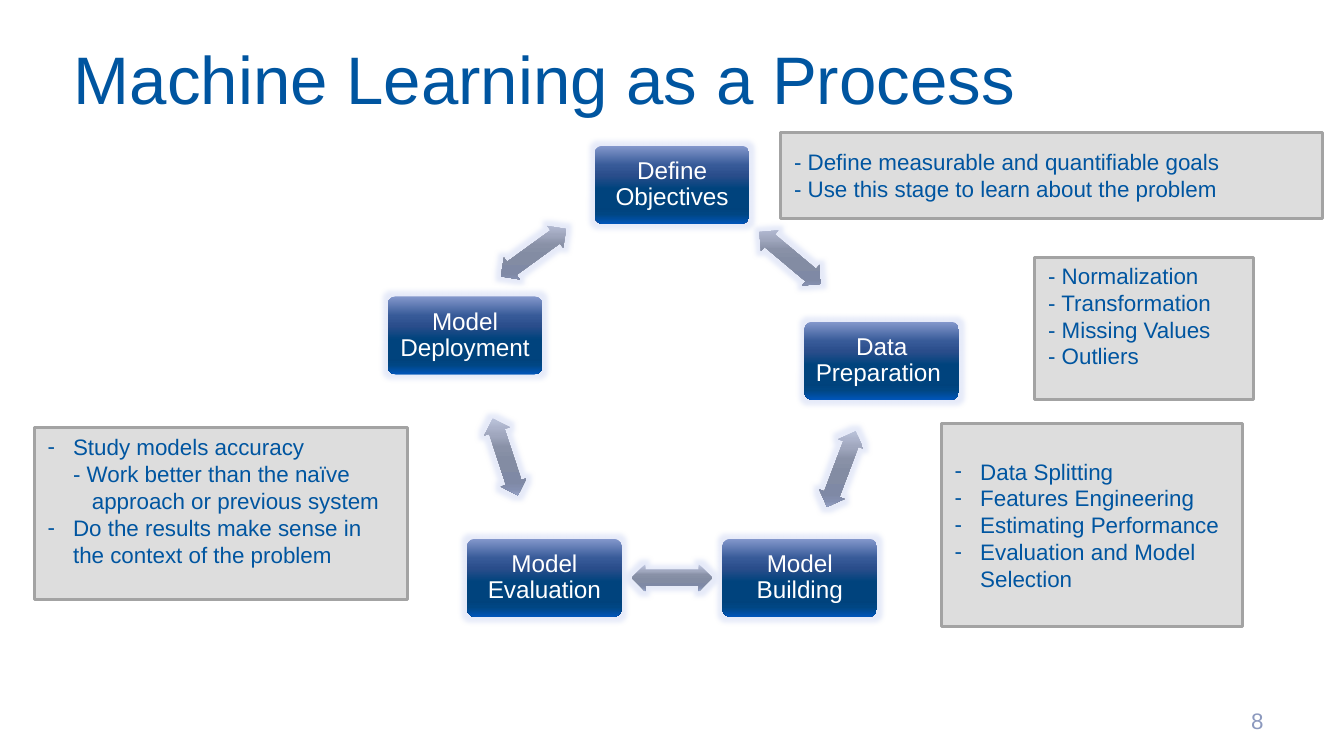
import math
from dataclasses import dataclass

import pptx
import pptx.dml.color
import pptx.enum.shapes
import pptx.enum.text
import pptx.oxml
import pptx.oxml.ns
import pptx.util

SHAPE = pptx.enum.shapes.MSO_SHAPE
ALIGN = pptx.enum.text.PP_ALIGN
ANCHOR = pptx.enum.text.MSO_ANCHOR
Inches = pptx.util.Inches
Pt = pptx.util.Pt


@dataclass(frozen=True)
class Theme:
    font: str = "Arial"
    ink: str = "0055A0"
    white: str = "FFFFFF"
    number: str = "8C99BE"
    note_fill: str = "DDDDDD"
    note_line: str = "A3A3A3"
    glow: str = "C1CCF0"
    stops: tuple = (0, 25, 38, 55, 80, 88, 100)
    step_colors: tuple = ("8498CC", "375A98", "2A4D8B", "00437D", "00427C", "004683", "0055B9")
    arrow_colors: tuple = ("C1C9E1", "9FA6BD", "8991A7", "838CA3", "7F89A5", "848FB0", "A2B0D6")
    title_size: int = 36
    step_size: int = 13
    body_size: int = 12


THEME = Theme()
COLUMNS = 100
TITLE = ("Machine Learning as a Process", (5, 1.9, 90, 7.7))
PAGE_NUMBER = ("8", (89.5, 52.15, 5.5, 3))

STEP_SIZE = (11.5, 5.8)
ARROW_SIZE = (6, 2)
STEPS = [
    {"name": "Define Objectives", "center": (50, 13.75), "next_arrow": (58.8, 19.2)},
    {"name": "Data Preparation ", "center": (65.6, 26.85), "next_arrow": (62.6, 34.9)},
    {"name": "Model Building", "center": (59.5, 43), "next_arrow": (50, 43)},
    {"name": "Model Evaluation", "center": (40.5, 43), "next_arrow": (37.6, 34)},
    {"name": "Model Deployment", "center": (34.6, 24.95), "next_arrow": (39.7, 18.8)},
]

INDENTS = {"plain": (0, 0), "bullet": (0.19, -0.19), "sub": (0.19, 0), "deep": (0.33, 0)}
NOTES = [
    {"at": (58.1, 9.85, 40.3, 6.4), "bottom": 0.05, "lines": [
        ("plain", "- Define measurable and quantifiable goals"),
        ("plain", "- Use this stage to learn about the problem")]},
    {"at": (77, 19.15, 16.3, 10.6), "bottom": 0.24, "lines": [
        ("plain", "- Normalization"),
        ("plain", "- Transformation"),
        ("plain", "- Missing Values"),
        ("plain", "- Outliers")]},
    {"at": (70.05, 31.5, 22.4, 15.1), "bottom": 0.05, "lines": [
        ("bullet", "Data Splitting"),
        ("bullet", "Features Engineering"),
        ("bullet", "Estimating Performance"),
        ("bullet", "Evaluation and Model Selection")]},
    {"at": (2.55, 31.8, 27.75, 12.8), "bottom": 0.24, "lines": [
        ("bullet", "Study models accuracy"),
        ("sub", "- Work better than the naïve"),
        ("deep", "approach or previous system"),
        ("bullet", "Do the results make sense in the context of the problem")]},
]

deck = pptx.Presentation()
deck.slide_width = Inches(10)
deck.slide_height = deck.slide_width * 9 // 16
page = deck.slides.add_slide(deck.slide_layouts[6])
cell = deck.slide_width / COLUMNS


def rgb(value):
    return pptx.dml.color.RGBColor.from_string(value)


def place(at):
    return [round(part * cell) for part in at]


def around(center, size):
    return (center[0] - size[0] / 2, center[1] - size[1] / 2, *size)


def prepare(box, inset=0.05, bottom=0.05):
    frame = box.text_frame
    frame.word_wrap = True
    frame.vertical_anchor = ANCHOR.MIDDLE
    frame.margin_left = frame.margin_right = Inches(inset)
    frame.margin_top, frame.margin_bottom = Inches(0.05), Inches(bottom)
    return frame


def write(para, text, size, color, align=ALIGN.LEFT):
    para.text = text
    para.alignment = align
    para.font.name = THEME.font
    para.font.size = Pt(size)
    para.font.color.rgb = rgb(color)


def add_text(text, at, size, color, align=ALIGN.LEFT, inset=0.05):
    box = page.shapes.add_textbox(*place(at))
    write(prepare(box, inset).paragraphs[0], text, size, color, align)


def add_shape(kind, at):
    shape = page.shapes.add_shape(kind, *place(at))
    shape.shadow.inherit = False
    return shape


def add_glossy(kind, at, colors):
    shape = add_shape(kind, at)
    shape.line.fill.background()
    shape.fill.gradient()
    shape.fill.gradient_angle = 270
    properties = shape.element.spPr
    gradient = properties.find(pptx.oxml.ns.qn("a:gradFill"))
    gradient.set("rotWithShape", "0")
    names = pptx.oxml.ns.nsdecls("a")
    stops = "".join(
        f'<a:gs pos="{stop * 1000}"><a:srgbClr val="{color}"/></a:gs>'
        for stop, color in zip(THEME.stops, colors))
    gradient.replace(gradient.find(pptx.oxml.ns.qn("a:gsLst")),
                     pptx.oxml.parse_xml(f"<a:gsLst {names}>{stops}</a:gsLst>"))
    properties.find(pptx.oxml.ns.qn("a:effectLst")).append(pptx.oxml.parse_xml(
        f'<a:glow {names} rad="63500"><a:srgbClr val="{THEME.glow}">'
        '<a:alpha val="40000"/></a:srgbClr></a:glow>'))
    return shape


def add_step(step):
    box = add_glossy(SHAPE.ROUNDED_RECTANGLE, around(step["center"], STEP_SIZE), THEME.step_colors)
    box.adjustments[0] = 0.1
    para = prepare(box).paragraphs[0]
    write(para, step["name"], THEME.step_size, THEME.white, ALIGN.CENTER)
    para.line_spacing = 0.9


def add_arrow(step, following):
    arrow = add_glossy(SHAPE.LEFT_RIGHT_ARROW, around(step["next_arrow"], ARROW_SIZE), THEME.arrow_colors)
    arrow.adjustments[0], arrow.adjustments[1] = 0.6, 0.5
    across, down = (end - start for start, end in zip(step["center"], following["center"]))
    arrow.rotation = round(math.degrees(math.atan2(down, across)) % 360, 1)


def add_bullet(properties):
    names = pptx.oxml.ns.nsdecls("a")
    anchor = properties.find(pptx.oxml.ns.qn("a:defRPr"))
    for mark in (f'<a:buFont {names} typeface="{THEME.font}"/>', f'<a:buChar {names} char="-"/>'):
        anchor.addprevious(pptx.oxml.parse_xml(mark))


def add_note(note):
    box = add_shape(SHAPE.RECTANGLE, note["at"])
    box.fill.solid()
    box.fill.fore_color.rgb = rgb(THEME.note_fill)
    box.line.color.rgb = rgb(THEME.note_line)
    box.line.width = Pt(1.5)
    frame = prepare(box, 0.1, note["bottom"])
    for index, (level, text) in enumerate(note["lines"]):
        para = frame.add_paragraph() if index else frame.paragraphs[0]
        write(para, text, THEME.body_size, THEME.ink)
        margin, indent = INDENTS[level]
        properties = para._p.get_or_add_pPr()
        properties.set("marL", str(Inches(margin)))
        properties.set("indent", str(Inches(indent)))
        if level == "bullet":
            add_bullet(properties)


add_text(*TITLE, THEME.title_size, THEME.ink)
for step, following in zip(STEPS, STEPS[1:] + STEPS[:1]):
    add_step(step)
    add_arrow(step, following)
add_text(*PAGE_NUMBER, THEME.body_size, THEME.number, ALIGN.RIGHT, 0.1)
for note in NOTES:
    add_note(note)

deck.save("out.pptx")
